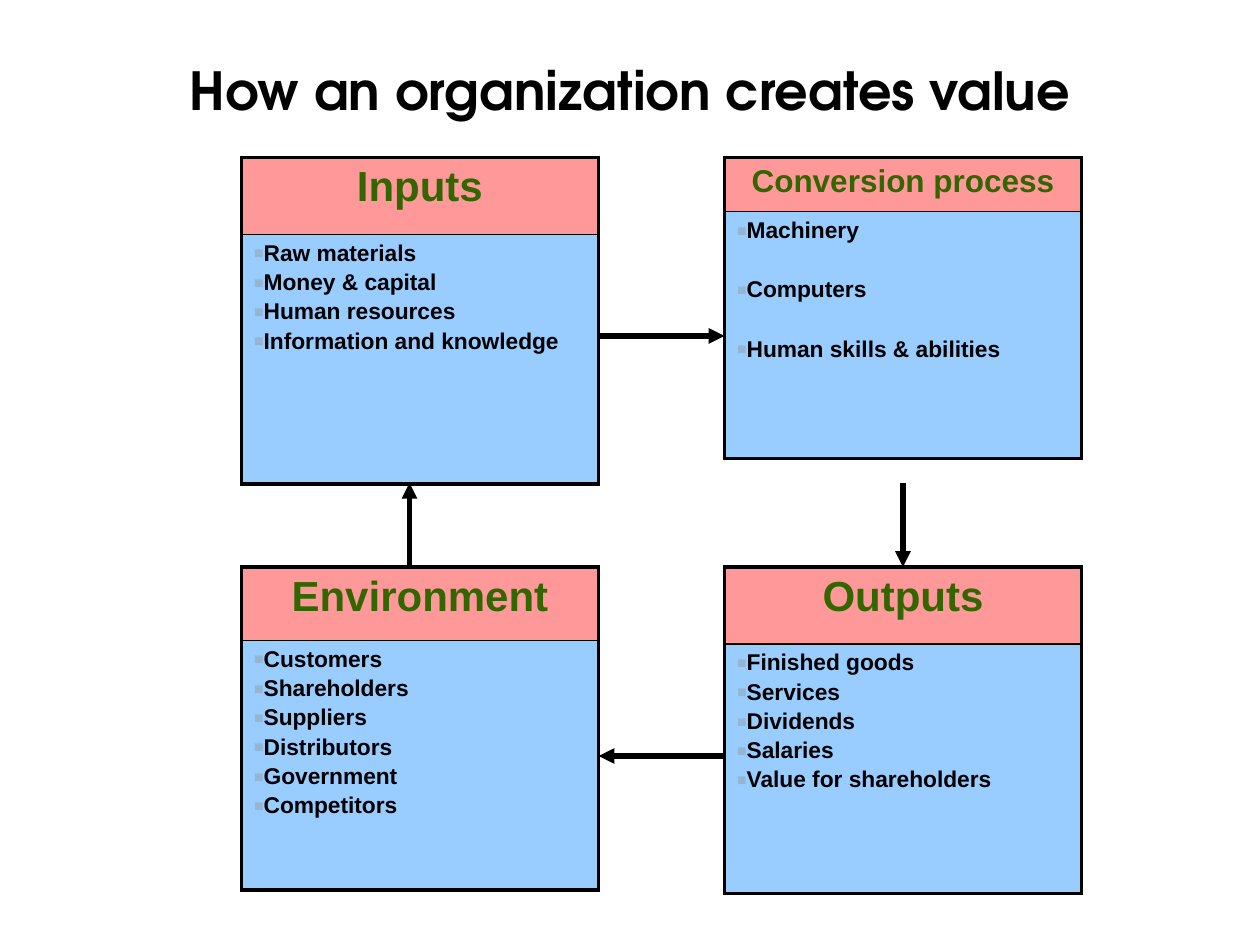
from pptx import Presentation
from pptx.dml.color import RGBColor
from pptx.enum.shapes import MSO_CONNECTOR
from pptx.enum.text import MSO_ANCHOR, MSO_AUTO_SIZE, PP_ALIGN
from pptx.oxml.ns import qn
from pptx.util import Pt
from lxml.etree import SubElement

COLORS = {
    "ink": "000000",
    "heading": "336600",
    "heading_fill": "FF9999",
    "list_fill": "99CCFF",
    "bullet": "94B6D2",
}
TITLE_FONT, BODY_FONT = "TeX Gyre Adventor", "Arial"
OUTER_LINE, INNER_LINE = 2.25, 1

# Two by two grid of stages, in points
LEFT, TOP = 138, 90
STAGE_W, GAP_X, PITCH_Y = 204, 72, 234
LIST_H = 142.5
TIGHT, WIDE = 2.2, 19.4  # space between list items

# column, row, heading, heading size, heading height, list height, spacing, items
STAGES = [
    (0, 0, "Inputs", 24, 44, LIST_H, TIGHT,
     ["Raw materials", "Money & capital", "Human resources",
      "Information and knowledge"]),
    (1, 0, "Conversion process", 18, 31, 141, WIDE,
     ["Machinery", "Computers", "Human skills & abilities"]),
    (0, 1, "Environment", 24, 42, LIST_H, TIGHT,
     ["Customers", "Shareholders", "Suppliers", "Distributors",
      "Government", "Competitors"]),
    (1, 1, "Outputs", 24, 44, LIST_H, TIGHT,
     ["Finished goods", "Services", "Dividends", "Salaries",
      "Value for shareholders"]),
]


def rgb(name):
    return RGBColor.from_string(COLORS[name])


def set_font(paragraph, face, size, color):
    font = paragraph.font
    font.name, font.size, font.bold = face, Pt(size), True
    font.color.rgb = rgb(color)


def style_cell(cell, fill, top, bottom):
    cell.fill.solid()
    cell.fill.fore_color.rgb = rgb(fill)
    props = cell._tc.get_or_add_tcPr()
    widths = {"lnL": OUTER_LINE, "lnR": OUTER_LINE, "lnT": top, "lnB": bottom}
    for position, (side, width) in enumerate(widths.items()):
        line = SubElement(props, qn(f"a:{side}"), w=str(Pt(width)))
        solid = SubElement(line, qn("a:solidFill"))
        SubElement(solid, qn("a:srgbClr"), val=COLORS["ink"])
        props.insert(position, line)  # borders come before the fill


def add_bullet(paragraph):
    props = paragraph._p.get_or_add_pPr()
    props.set("marL", "0")
    props.set("indent", "0")
    color = SubElement(props, qn("a:buClr"))
    SubElement(color, qn("a:srgbClr"), val=COLORS["bullet"])
    SubElement(props, qn("a:buSzPct"), val="70000")
    SubElement(props, qn("a:buFont"), typeface=BODY_FONT)
    SubElement(props, qn("a:buChar"), char="■")


def add_title(slide, text, left, top, width, height):
    title = slide.shapes.title
    title.left, title.top = Pt(left), Pt(top)
    title.width, title.height = Pt(width), Pt(height)
    frame = title.text_frame
    frame.text = text
    frame.word_wrap = True
    frame.auto_size = MSO_AUTO_SIZE.NONE
    frame.vertical_anchor = MSO_ANCHOR.MIDDLE
    frame.paragraphs[0].alignment = PP_ALIGN.CENTER
    set_font(frame.paragraphs[0], TITLE_FONT, 30, "ink")


def add_stage(slide, left, top, width, heading, size, head_h, list_h, spacing, items):
    table = slide.shapes.add_table(
        2, 1, Pt(left), Pt(top), Pt(width), Pt(head_h + list_h)).table
    table.first_row = table.horz_banding = False
    table.rows[0].height, table.rows[1].height = Pt(head_h), Pt(list_h)

    # Heading
    head = table.cell(0, 0)
    style_cell(head, "heading_fill", OUTER_LINE, INNER_LINE)
    head.text = heading
    name = head.text_frame.paragraphs[0]
    name.alignment = PP_ALIGN.CENTER
    set_font(name, BODY_FONT, size, "heading")

    # Bulleted list
    body = table.cell(1, 0)
    style_cell(body, "list_fill", INNER_LINE, OUTER_LINE)
    body.text = "\n".join(items)
    for index, item in enumerate(body.text_frame.paragraphs):
        if index:
            item.space_before = Pt(spacing)
        add_bullet(item)
        set_font(item, BODY_FONT, 13, "ink")


def add_arrow(slide, x1, y1, x2, y2):
    arrow = slide.shapes.add_connector(
        MSO_CONNECTOR.STRAIGHT, Pt(x1), Pt(y1), Pt(x2), Pt(y2))
    arrow.line.color.rgb = rgb("ink")
    arrow.line.width = Pt(3)
    SubElement(arrow.line._get_or_add_ln(), qn("a:tailEnd"), type="triangle")
    SubElement(arrow._element.spPr, qn("a:effectLst"))


def add_cycle(slide, left, top):
    for column, row, *content in STAGES:
        add_stage(slide, left + column * (STAGE_W + GAP_X), top + row * PITCH_Y,
                  STAGE_W, *content)

    # Arrows run clockwise through the gaps
    gap_left, gap_right = left + STAGE_W, left + STAGE_W + GAP_X
    gap_top, gap_bottom = top + 186, top + PITCH_Y
    up_x, down_x = left + 96, gap_right + STAGE_W / 2
    right_y, left_y = top + 102, gap_bottom + 108
    add_arrow(slide, up_x, gap_bottom, up_x, gap_top)
    add_arrow(slide, gap_left, right_y, gap_right, right_y)
    add_arrow(slide, down_x, gap_top, down_x, gap_bottom)
    add_arrow(slide, gap_right, left_y, gap_left, left_y)


def main():
    deck = Presentation()
    deck.slide_width, deck.slide_height = Pt(720), Pt(540)
    slide = deck.slides.add_slide(deck.slide_layouts[5])
    add_title(slide, "How an organization creates value", 90, 12, 540, 78)
    add_cycle(slide, LEFT, TOP)
    deck.save("out.pptx")


if __name__ == "__main__":
    main()
